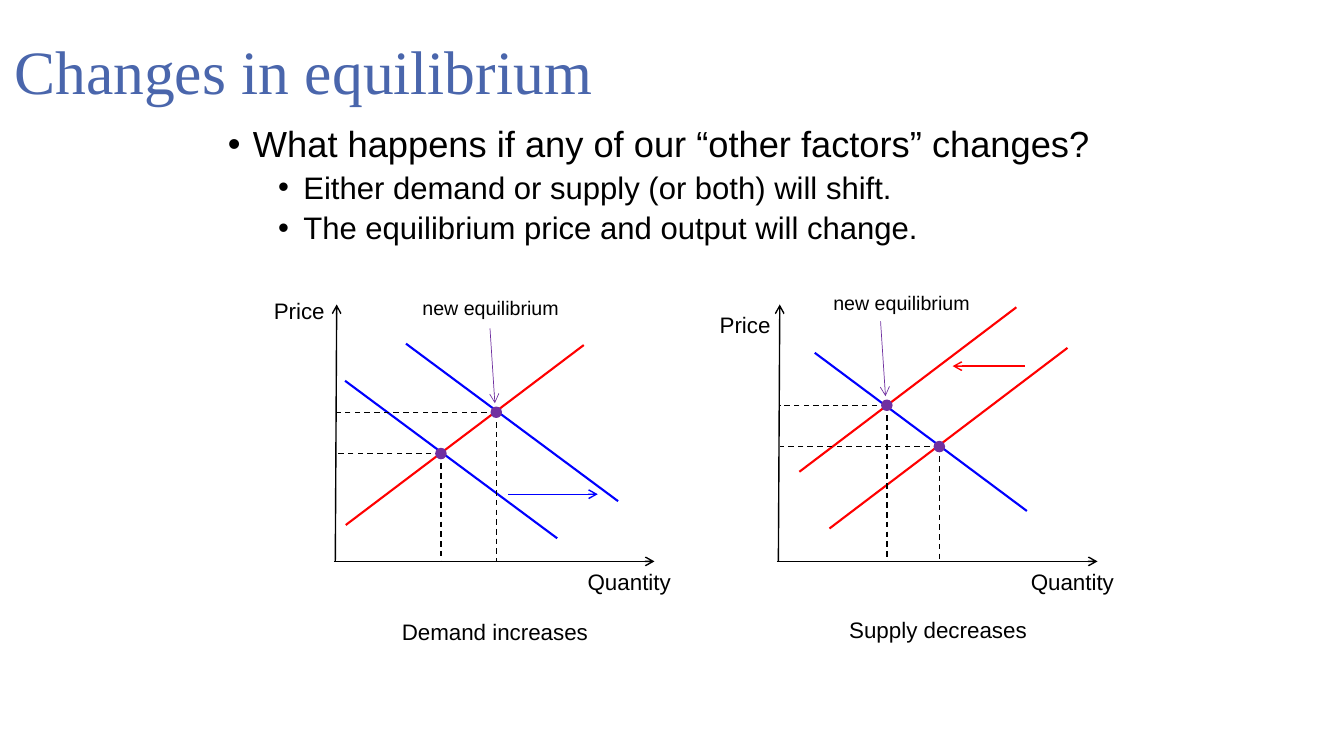
import pptx
import pptx.util
import pptx.dml.color
import pptx.enum.dml
import pptx.enum.shapes
import pptx.enum.text
import pptx.oxml
from dataclasses import dataclass

Pt = pptx.util.Pt
Text = pptx.enum.text


@dataclass(frozen=True)
class Theme:
    head: str = "4A66AC"
    ink: str = "000000"
    supply: str = "FF0000"
    demand: str = "0000FF"
    dot: str = "7030A0"
    serif: str = "Times New Roman"
    sans: str = "Arial"
    title: float = 44
    lead: float = 25.9
    point: float = 22.2
    label: float = 16
    note: float = 14


THEME = Theme()


def color(code):
    return pptx.dml.color.RGBColor.from_string(code)


def style(par, size, face=THEME.sans, tint=THEME.ink):
    par.font.size = Pt(size)
    par.font.name = face
    par.font.color.rgb = color(tint)


def place(shape, box):
    shape.left, shape.top, shape.width, shape.height = map(Pt, box)


def add_xml(parent, tag, attrs=""):
    space = "http://schemas.openxmlformats.org/drawingml/2006/main"
    parent.append(pptx.oxml.parse_xml(f'<a:{tag} xmlns:a="{space}" {attrs}/>'))


def draw_line(slide, start, end, tint=THEME.ink, width=1, dash=False, arrow=False):
    line = slide.shapes.add_connector(
        pptx.enum.shapes.MSO_CONNECTOR.STRAIGHT, *map(Pt, (*start, *end)))
    line.line.color.rgb = color(tint)
    line.line.width = Pt(width)
    if dash:
        line.line.dash_style = pptx.enum.dml.MSO_LINE.DASH
    if arrow:
        add_xml(line.line._get_or_add_ln(), "tailEnd", 'type="arrow"')
    add_xml(line._element.spPr, "effectLst")


def draw_dot(slide, mid, size=7.2):
    x, y = mid
    dot = slide.shapes.add_shape(
        pptx.enum.shapes.MSO_SHAPE.OVAL,
        *map(Pt, (x - size / 2, y - size / 2, size, size)))
    dot.shadow.inherit = False
    dot.fill.solid()
    dot.fill.fore_color.rgb = color(THEME.dot)
    dot.line.color.rgb = color(THEME.dot)
    dot.line.width = Pt(1)


def add_label(slide, words, box, size=THEME.label):
    frame = slide.shapes.add_textbox(*map(Pt, box)).text_frame
    frame.word_wrap = True
    par = frame.paragraphs[0]
    par.text = words
    par.alignment = Text.PP_ALIGN.CENTER
    style(par, size)


def add_title(slide, words, box):
    title = slide.shapes.title
    place(title, box)
    frame = title.text_frame
    frame.auto_size = Text.MSO_AUTO_SIZE.NONE
    frame.vertical_anchor = Text.MSO_ANCHOR.MIDDLE
    par = frame.paragraphs[0]
    par.text = words
    par.alignment = Text.PP_ALIGN.LEFT
    par.line_spacing = 0.9
    style(par, THEME.title, THEME.serif, THEME.head)


def add_list(slide, items, box):
    body = slide.placeholders[1]
    place(body, box)
    frame = body.text_frame
    frame.auto_size = Text.MSO_AUTO_SIZE.NONE
    for i, (level, words) in enumerate(items):
        par = frame.add_paragraph() if i else frame.paragraphs[0]
        par.text = words
        par.level = level
        par.line_spacing = 0.9
        par.space_before = Pt(5 if i else 0)
        props = par._p.get_or_add_pPr()
        props.set("marL", str(Pt(18 + 36 * level)))
        props.set("indent", str(Pt(-18)))
        add_xml(props, "buChar", 'char="•"')
        style(par, THEME.point if level else THEME.lead)


def add_graph(slide, box, graph):
    left, top, wide, high = box

    def at(x, y):
        return left + x, top + y

    # Axes
    draw_line(slide, at(1, high), at(2, 0), arrow=True)
    draw_line(slide, at(0, high), at(wide, high), arrow=True)

    # Supply and demand curves
    for tint, start, end in graph["curves"]:
        draw_line(slide, at(*start), at(*end), tint, 1.5)

    # Equilibrium points with guides to both axes
    for x, y in graph["dots"]:
        draw_line(slide, at(x, y), at(x, high), dash=True)
        draw_line(slide, at(x, y), at(2, y), dash=True)
        draw_dot(slide, at(x, y))

    # Shift arrow, and pointer to the new equilibrium
    tint, start, end = graph["shift"]
    draw_line(slide, at(*start), at(*end), tint, arrow=True)
    x, y = graph["dots"][-1]
    draw_line(slide, at(x - 4.5, y - 60), at(x - 1, y - 6.5),
              THEME.dot, 0.5, arrow=True)

    # Labels
    x, y = graph["note"]
    add_label(slide, "new equilibrium", (*at(x - 75, y), 150, 24.5), THEME.note)
    add_label(slide, "Price", (*at(*graph["price"]), 53.5, 26.5))
    add_label(slide, "Quantity", (*at(wide - 56.5, high + 1.5), 77, 26.5))
    add_label(slide, graph["name"], (*at(2, graph["foot"]), 226, 26.5))


DEMAND = {
    "name": "Demand increases", "foot": 220.5,
    "curves": [(THEME.supply, (8.5, 157.5), (178.5, 29)),
               (THEME.demand, (8, 54.5), (159.5, 167)),
               (THEME.demand, (51.5, 28), (203, 140.5))],
    "dots": [(76.5, 106.5), (116, 77)],
    "shift": (THEME.demand, (124.5, 135.5), (188.5, 135.5)),
    "note": (112, -10), "price": (-51.5, -8.5),
}
SUPPLY = {
    "name": "Supply decreases", "foot": 219,
    "curves": [(THEME.supply, (37.5, 160), (207.5, 31)),
               (THEME.supply, (16, 119.5), (171, 2)),
               (THEME.demand, (27, 34.5), (178.5, 147.5))],
    "dots": [(116, 101.5), (78.5, 72)],
    "shift": (THEME.supply, (177, 44), (125.5, 44)),
    "note": (89, -13), "price": (-49.5, 1.5),
}


def main():
    deck = pptx.Presentation()
    deck.slide_width, deck.slide_height = Pt(960), Pt(540)
    slide = deck.slides.add_slide(deck.slide_layouts[1])
    add_title(slide, "Changes in equilibrium", (3, 1, 828, 104))
    add_list(slide, [
        (0, "What happens if any of our “other factors” changes?"),
        (1, "Either demand or supply (or both) will shift."),
        (1, "The equilibrium price and output will change."),
    ], (155.5, 86.5, 648, 98))
    for left, graph in ((238.5, DEMAND), (555, SUPPLY)):
        add_graph(slide, (left, 217.5, 229, 183.5), graph)
    deck.save("out.pptx")


if __name__ == "__main__":
    main()
